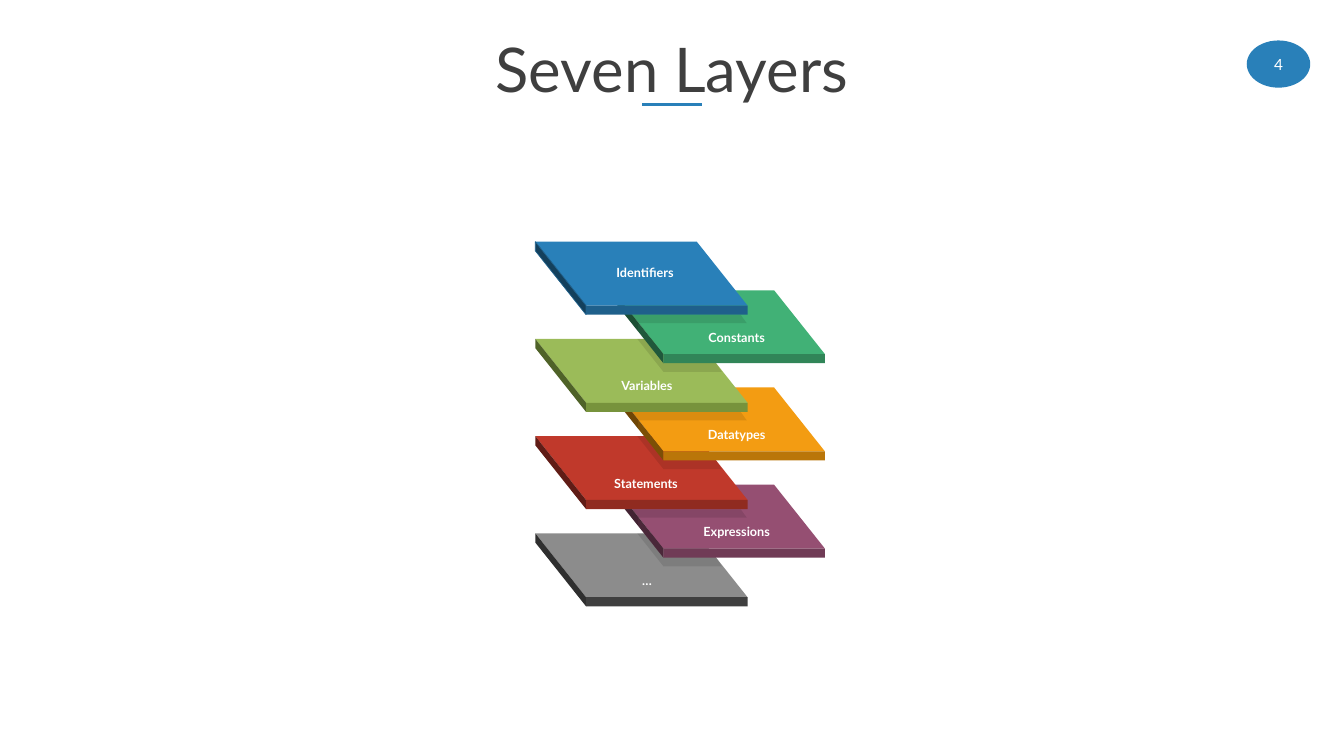
import dataclasses
import lxml.etree
import pptx
import pptx.dml.color
import pptx.enum.shapes
import pptx.enum.text
import pptx.oxml.ns
import pptx.util

Cm = pptx.util.Cm
Pt = pptx.util.Pt
qn = pptx.oxml.ns.qn
Kind = pptx.enum.shapes.MSO_SHAPE
Anchor = pptx.enum.text.MSO_ANCHOR


@dataclasses.dataclass(frozen=True)
class Theme:
    font: str = "Lato"
    blue: str = "2980B9"
    edge: str = "1F608B"
    ink: str = "3F3F3F"
    white: str = "FFFFFF"
    shade: str = "000000"
    title: int = 44
    page: int = 11
    label: int = 9


theme = Theme()

# Label, colours of top, side and front, label width; from top to bottom
LAYERS = [
    ("Identifiers", theme.blue, "14405C", theme.edge, 4.37),
    ("Constants", "41B176", "20583B", "318558", 3.91),
    ("Variables", "9BBB59", "4F6228", "77933C", 4.47),
    ("Datatypes", "F39C12", "7C4F06", "BA7609", 3.91),
    ("Statements", "C0392B", "601C16", "902B20", 4.42),
    ("Expressions", "954F72", "4A2839", "703B56", 3.91),
    ("…", "8C8C8C", "2F2F2F", "3F3F3F", 4.47),
]

# Slab size in cm
WIDE, DEEP, SLANT, THICK = 5.35, 1.61, 1.28, 0.23
STEP, SHIFT = 1.225, 1.95

# Shadow outlines in cm from the corner of a left or right slab
SHADE_L = [(2.57, 0), (3.23, 0.83), (4.7, 0.83), (4.55, 0.6),
           (3.23, 0.6), (2.74, 0)]
SHADE_R = [(3.23, 0.62), (0.3, 0.62), (0.64, 1.04), (0.64, 0.83),
           (3.38, 0.83)]


def rgb(color):
    return pptx.dml.color.RGBColor.from_string(color)


def paint(shape, color, alpha=None, line=None):
    shape.shadow.inherit = False
    shape.fill.solid()
    shape.fill.fore_color.rgb = rgb(color)
    if alpha:
        tint = shape.fill._xPr.find(".//" + qn("a:srgbClr"))
        lxml.etree.SubElement(tint, qn("a:alpha"), val=str(alpha * 1000))
    if line:
        shape.line.color.rgb = rgb(line)
        shape.line.width = Pt(0.5)
    else:
        shape.line.fill.background()


def write(shapes, text, box, size, color=theme.white, bold=False,
          anchor=Anchor.MIDDLE, pad=(0.25, 0.13), space=None):
    frame = shapes.add_textbox(*map(Cm, box)).text_frame
    frame.word_wrap = True
    frame.vertical_anchor = anchor
    frame.margin_left = frame.margin_right = Cm(pad[0])
    frame.margin_top = frame.margin_bottom = Cm(pad[1])
    para = frame.paragraphs[0]
    para.alignment = pptx.enum.text.PP_ALIGN.CENTER
    if space:
        para.line_spacing = space
    run = para.add_run()
    run.text = text
    run.font.name = theme.font
    run.font.size = Pt(size)
    run.font.bold = bold
    run.font.color.rgb = rgb(color)


def shape(shapes, left, top, points, color, **style):
    spots = [(Cm(left + x), Cm(top + y)) for x, y in points]
    pen = shapes.build_freeform(*spots[0])
    pen.add_line_segments(spots[1:], close=True)
    paint(pen.convert_to_shape(), color, **style)


def badge(shapes, left, top, wide, high):
    # Page number in an ellipse
    oval = shapes.add_shape(Kind.OVAL, Cm(left), Cm(top), Cm(wide), Cm(high))
    paint(oval, theme.blue)
    write(shapes, "4", (left - 0.84, top + 0.1, 3.28, 1.02), theme.page)


def head(shapes, left, top, wide, high):
    # Short rule under the centred title
    mid, base = left + wide / 2, top + high - 0.18
    rule = shapes.add_connector(
        pptx.enum.shapes.MSO_CONNECTOR.STRAIGHT,
        Cm(mid - 0.75), Cm(base), Cm(mid + 0.75), Cm(base))
    rule.line.color.rgb = rgb(theme.blue)
    rule.line.width = Pt(2)
    lxml.etree.SubElement(rule._element.spPr, qn("a:effectLst"))
    write(shapes, "Seven Layers", (left, top, wide, high), theme.title,
          color=theme.ink, space=0.9)


def slab(shapes, left, top, face, side, front, line=None):
    # Top, side and front faces
    group = shapes.add_group_shape().shapes
    shape(group, left, top, [(SLANT, DEEP), (WIDE, DEEP),
                             (WIDE - SLANT, 0), (0, 0)], face)
    shape(group, left, top, [(0, 0), (0, THICK), (SLANT, DEEP + THICK),
                             (SLANT, DEEP)], side, line=line)
    bar = group.add_shape(Kind.RECTANGLE, Cm(left + SLANT), Cm(top + DEEP),
                          Cm(WIDE - SLANT), Cm(THICK))
    paint(bar, front)


def stack(shapes, left, top):
    # Bottom layer first, so that each one covers the next below
    for row, (name, face, side, front, wide) in reversed(
            list(enumerate(LAYERS))):
        first, right = row == 0, row % 2
        x, y = left + right * SHIFT, top + row * STEP
        slab(shapes, x, y, face, side, front,
             line=theme.edge if first else None)
        if not first:
            shape(shapes, x, y, SHADE_R if right else SHADE_L,
                  theme.shade, alpha=10)
        box = (x + (1.17 if right else 0.58), y + (0.58 if first else 0.93),
               wide, 0.51)
        write(shapes, name, box, theme.label, bold=True, pad=(0.15, 0),
              anchor=Anchor.TOP if first else Anchor.MIDDLE)


def main():
    deck = pptx.Presentation()
    deck.slide_width, deck.slide_height = Cm(33.87), Cm(19.05)
    shapes = deck.slides.add_slide(deck.slide_layouts[6]).shapes
    badge(shapes, 31.42, 1.02, 1.6, 1.19)
    head(shapes, 2.33, 0.82, 29.21, 2)
    stack(shapes, 13.49, 6.09)
    deck.save("out.pptx")


if __name__ == "__main__":
    main()
